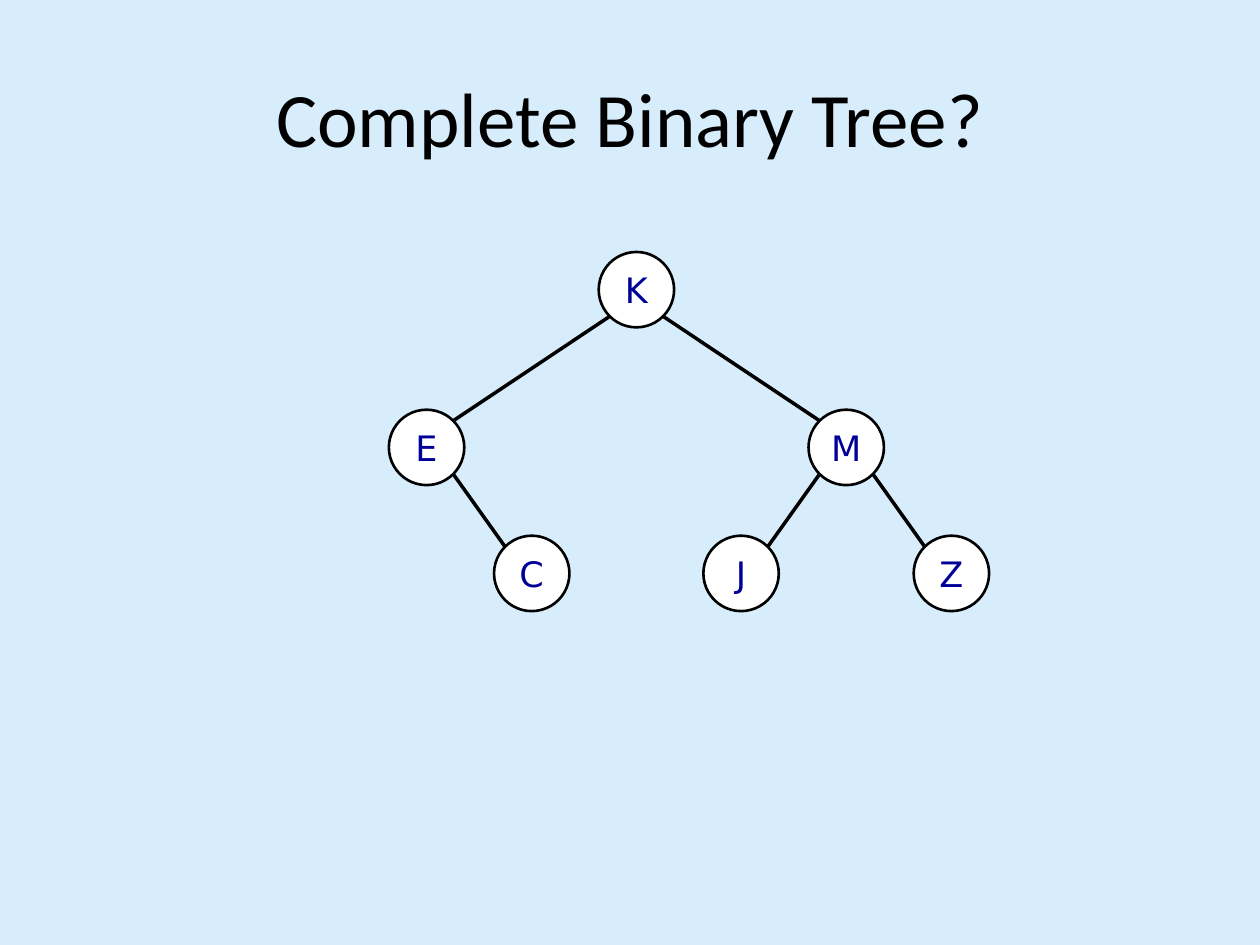
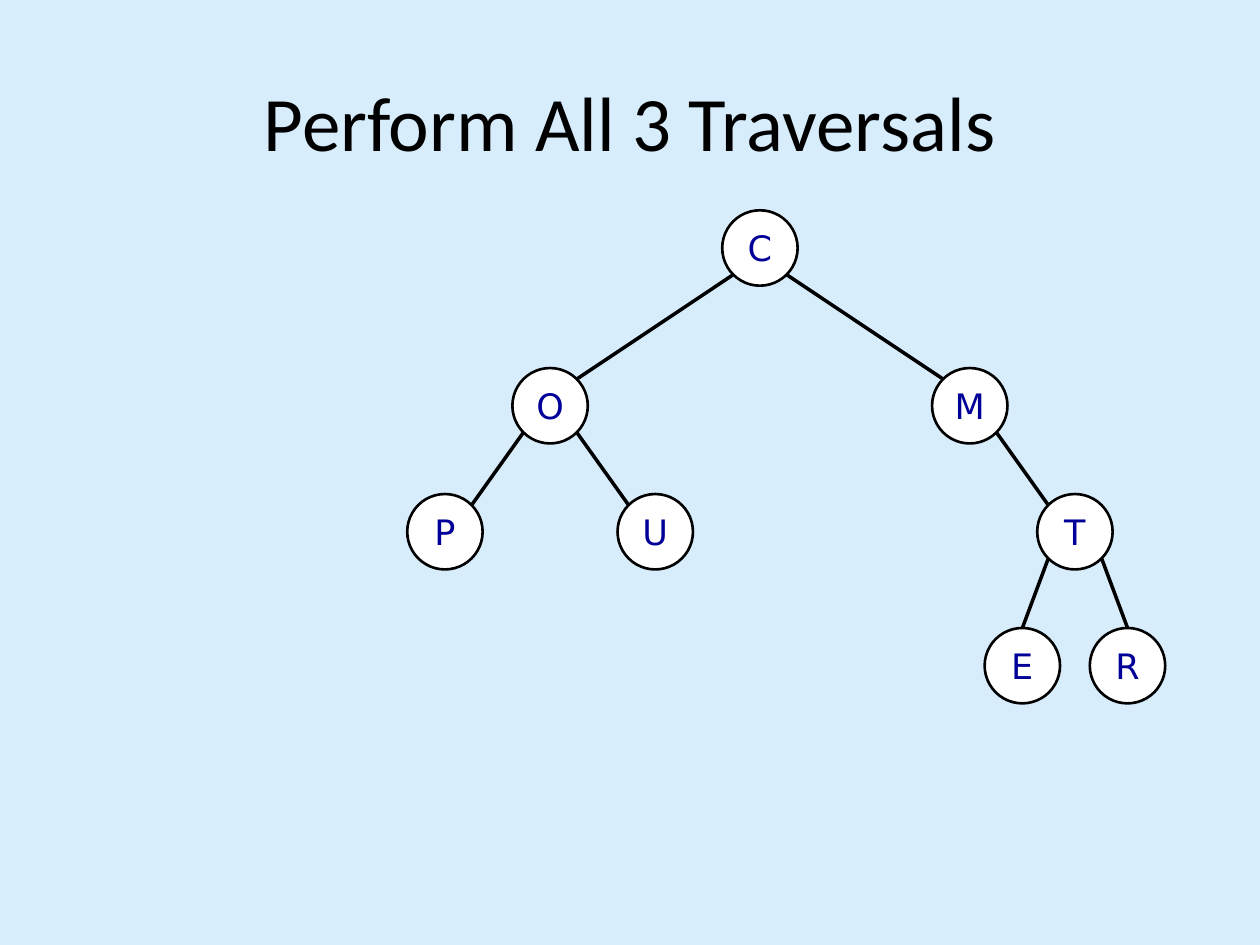
"""Build two slides that each show a binary tree."""
from math import sqrt

from lxml.etree import SubElement
from pptx import Presentation
from pptx.dml.color import RGBColor
from pptx.enum.shapes import MSO_CONNECTOR, MSO_SHAPE
from pptx.enum.text import MSO_ANCHOR, PP_ALIGN
from pptx.oxml.ns import qn
from pptx.util import Cm, Pt

BACKGROUND = "D8EDFC"
NODE_FILL = "FFFFFF"
LETTER_COLOR = "000099"
INK = "000000"
TITLE_FONT = "Calibri"
LETTER_FONT = "DejaVu Sans"

NODE_SIZE = 1.52
DIAGONAL = NODE_SIZE / 2 / sqrt(2)
SIDE_STEPS = (4.23, 2.12, 1.06)
LEVEL_DROPS = (3.18, 2.54, 2.7)

COMPLETE_TREE = {"": "K", "L": "E", "R": "M", "LR": "C", "RL": "J", "RR": "Z"}
TRAVERSAL_TREE = {"": "C", "L": "O", "R": "M", "LL": "P", "LR": "U",
                  "RR": "T", "RRL": "E", "RRR": "R"}


def color(hex_string):
    """Return the colour for a hex string."""
    return RGBColor.from_string(hex_string)


def format_text(shape, font_name, size, hex_string):
    """Centre the text of a shape and set its font."""
    shape.text_frame.vertical_anchor = MSO_ANCHOR.MIDDLE
    for paragraph in shape.text_frame.paragraphs:
        paragraph.alignment = PP_ALIGN.CENTER
        for run in paragraph.runs:
            run.font.name = font_name
            run.font.size = Pt(size)
            run.font.color.rgb = color(hex_string)


def add_titled_slide(presentation, title, top):
    """Add a title-only slide with a centred title."""
    slide = presentation.slides.add_slide(presentation.slide_layouts[5])
    shape = slide.shapes.title
    shape.left, shape.top = Cm(1.27), Cm(top)
    shape.width, shape.height = Cm(22.86), Cm(3.18)
    shape.text_frame.text = title
    format_text(shape, TITLE_FONT, 44, INK)
    return slide


def node_center(root, path):
    """Follow the left and right turns of a path from the root."""
    x, y = root
    for turn, step, drop in zip(path, SIDE_STEPS, LEVEL_DROPS):
        x += step if turn == "R" else -step
        y += drop
    return x, y


def add_node(shapes, center, letter):
    """Add a round tree node with its letter."""
    x, y = center
    node = shapes.add_shape(MSO_SHAPE.OVAL, Cm(x - NODE_SIZE / 2), Cm(y - NODE_SIZE / 2),
                            Cm(NODE_SIZE), Cm(NODE_SIZE))
    node.shadow.inherit = False
    node.fill.solid()
    node.fill.fore_color.rgb = color(NODE_FILL)
    node.line.color.rgb = color(INK)
    node.line.width = Pt(1.5)
    frame = node.text_frame
    frame.margin_left = frame.margin_right = frame.margin_top = frame.margin_bottom = 0
    frame.word_wrap = False
    frame.text = letter
    format_text(node, LETTER_FONT, 20, LETTER_COLOR)
    return node


def add_edge(shapes, root, path, child):
    """Join a node to its parent; the deepest level is joined at the top."""
    parent_x, parent_y = node_center(root, path[:-1])
    child_x, child_y = node_center(root, path)
    side = DIAGONAL if path[-1] == "R" else -DIAGONAL
    edge = shapes.add_connector(MSO_CONNECTOR.STRAIGHT,
                                Cm(parent_x + side), Cm(parent_y + DIAGONAL),
                                Cm(child_x - side), Cm(child_y - DIAGONAL))
    if len(path) == len(LEVEL_DROPS):
        edge.end_connect(child, 0)
    edge.line.color.rgb = color(INK)
    edge.line.width = Pt(2)
    SubElement(edge._element.spPr, qn("a:effectLst"))


def add_tree(slide, root, letters):
    """Draw a grouped tree from letters keyed by their path."""
    shapes = slide.shapes.add_group_shape().shapes
    nodes = {path: add_node(shapes, node_center(root, path), letter)
             for path, letter in letters.items()}
    for path, node in nodes.items():
        if path:
            add_edge(shapes, root, path, node)


def main():
    """Build and save the presentation."""
    presentation = Presentation()
    presentation.slide_width, presentation.slide_height = Cm(25.4), Cm(19.05)
    background = presentation.slide_master.background.fill
    background.solid()
    background.fore_color.rgb = color(BACKGROUND)

    slide = add_titled_slide(presentation, "Complete Binary Tree?", 0.76)
    add_tree(slide, (12.83, 5.84), COMPLETE_TREE)

    slide = add_titled_slide(presentation, "Perform All 3 Traversals", 0.85)
    add_tree(slide, (15.32, 5), TRAVERSAL_TREE)

    presentation.save("out.pptx")


if __name__ == "__main__":
    main()
